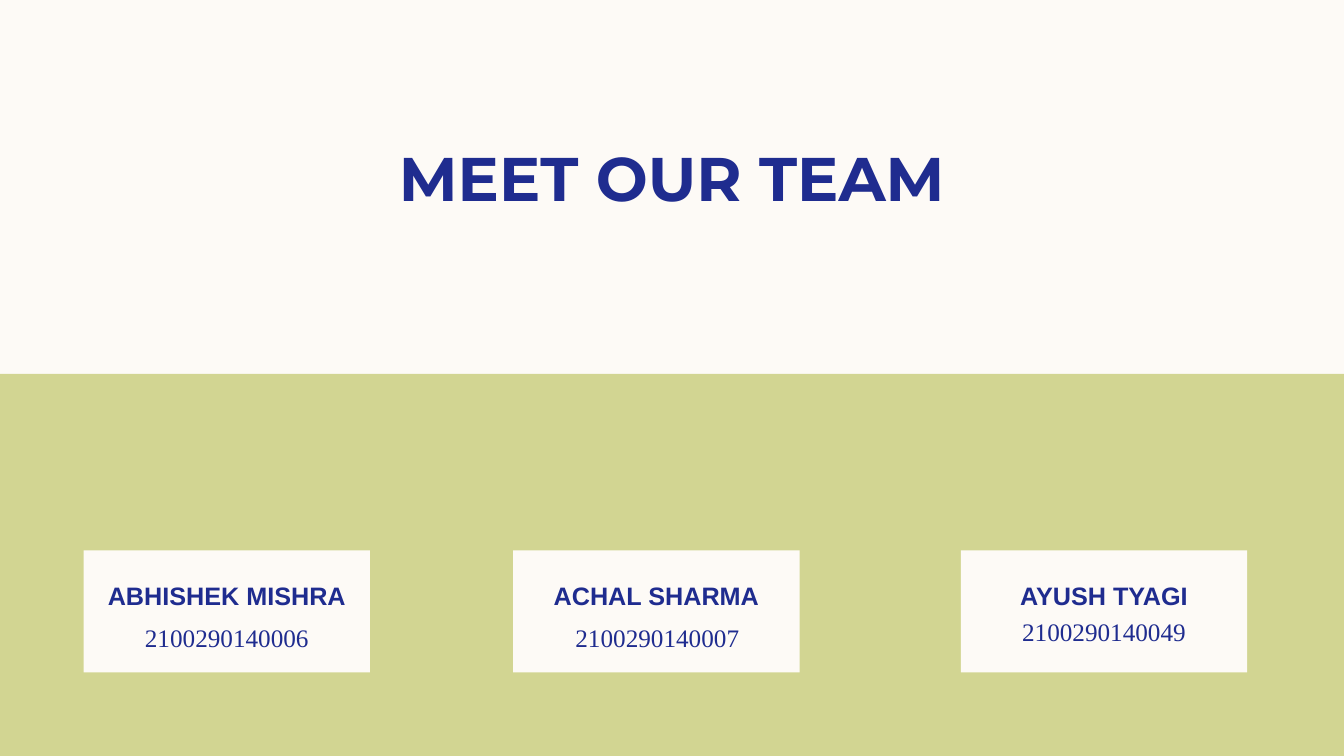
from dataclasses import dataclass

from pptx import Presentation
from pptx.dml.color import RGBColor
from pptx.enum.shapes import MSO_SHAPE
from pptx.enum.text import MSO_ANCHOR, PP_ALIGN
from pptx.slide import Slide
from pptx.text.text import TextFrame
from pptx.util import Emu, Pt

RECTANGLE = MSO_SHAPE.RECTANGLE
TOP = MSO_ANCHOR.TOP
MIDDLE = MSO_ANCHOR.MIDDLE
CENTER = PP_ALIGN.CENTER
TITLE_ONLY = 5
EMU_PER_PX = 9144


@dataclass(frozen=True)
class Theme:
    cream: RGBColor = RGBColor(0xFD, 0xFA, 0xF6)
    green: RGBColor = RGBColor(0xD2, 0xD5, 0x92)
    navy: RGBColor = RGBColor(0x1F, 0x2C, 0x8F)
    title_font: str = "Montserrat"
    name_font: str = "Arial"
    number_font: str = "Times New Roman"
    title_size: int = 44
    card_size: int = 18


@dataclass(frozen=True)
class Box:
    left: int
    top: int
    width: int
    height: int

    def emu(self) -> tuple[Emu, Emu, Emu, Emu]:
        return px(self.left), px(self.top), px(self.width), px(self.height)


@dataclass(frozen=True)
class Member:
    name: str
    number: str
    card_left: int
    number_left: int
    number_top: int


THEME = Theme()
MEMBERS = [
    Member("ABHISHEK MISHRA", "2100290140006", 83, 100, 612),
    Member("ACHAL SHARMA", "2100290140007", 509, 527, 612),
    Member("AYUSH TYAGI", "2100290140049", 953, 970, 606),
]


def px(length: int) -> Emu:
    return Emu(length * EMU_PER_PX)


def write(frame: TextFrame, text: str, font: str, size: int, bold: bool,
          anchor: MSO_ANCHOR) -> None:
    frame.word_wrap = True
    frame.vertical_anchor = anchor
    para = frame.paragraphs[0]
    para.text = text
    para.alignment = CENTER
    para.font.name = font
    para.font.size = Pt(size)
    para.font.bold = bold
    para.font.color.rgb = THEME.navy


def add_panel(page: Slide, box: Box, color: RGBColor) -> TextFrame:
    panel = page.shapes.add_shape(RECTANGLE, *box.emu())
    panel.shadow.inherit = False
    panel.fill.solid()
    panel.fill.fore_color.rgb = color
    panel.line.fill.background()
    return panel.text_frame


def add_title(page: Slide, text: str, box: Box) -> None:
    title = page.shapes.title
    title.left, title.top, title.width, title.height = box.emu()
    write(title.text_frame, text, THEME.title_font, THEME.title_size, True, MIDDLE)


def add_member(page: Slide, member: Member) -> None:
    card = add_panel(page, Box(member.card_left, 546, 284, 121), THEME.cream)
    card.margin_left = card.margin_right = 0
    card.margin_top = px(30)
    card.margin_bottom = px(5)
    write(card, member.name, THEME.name_font, THEME.card_size, True, TOP)

    number_box = Box(member.number_left, member.number_top, 250, 40)
    number = page.shapes.add_textbox(*number_box.emu()).text_frame
    write(number, member.number, THEME.number_font, THEME.card_size, False, MIDDLE)
    number.paragraphs[0].space_before = Pt(3.6)


def main() -> None:
    deck = Presentation()
    deck.slide_width = px(1333)
    deck.slide_height = px(750)
    page = deck.slides.add_slide(deck.slide_layouts[TITLE_ONLY])
    page.background.fill.solid()
    page.background.fill.fore_color.rgb = THEME.cream

    add_panel(page, Box(0, 371, 1333, 379), THEME.green)
    add_title(page, "MEET OUR TEAM", Box(83, 133, 1167, 84))
    for member in MEMBERS:
        add_member(page, member)
    deck.save("out.pptx")


if __name__ == "__main__":
    main()
